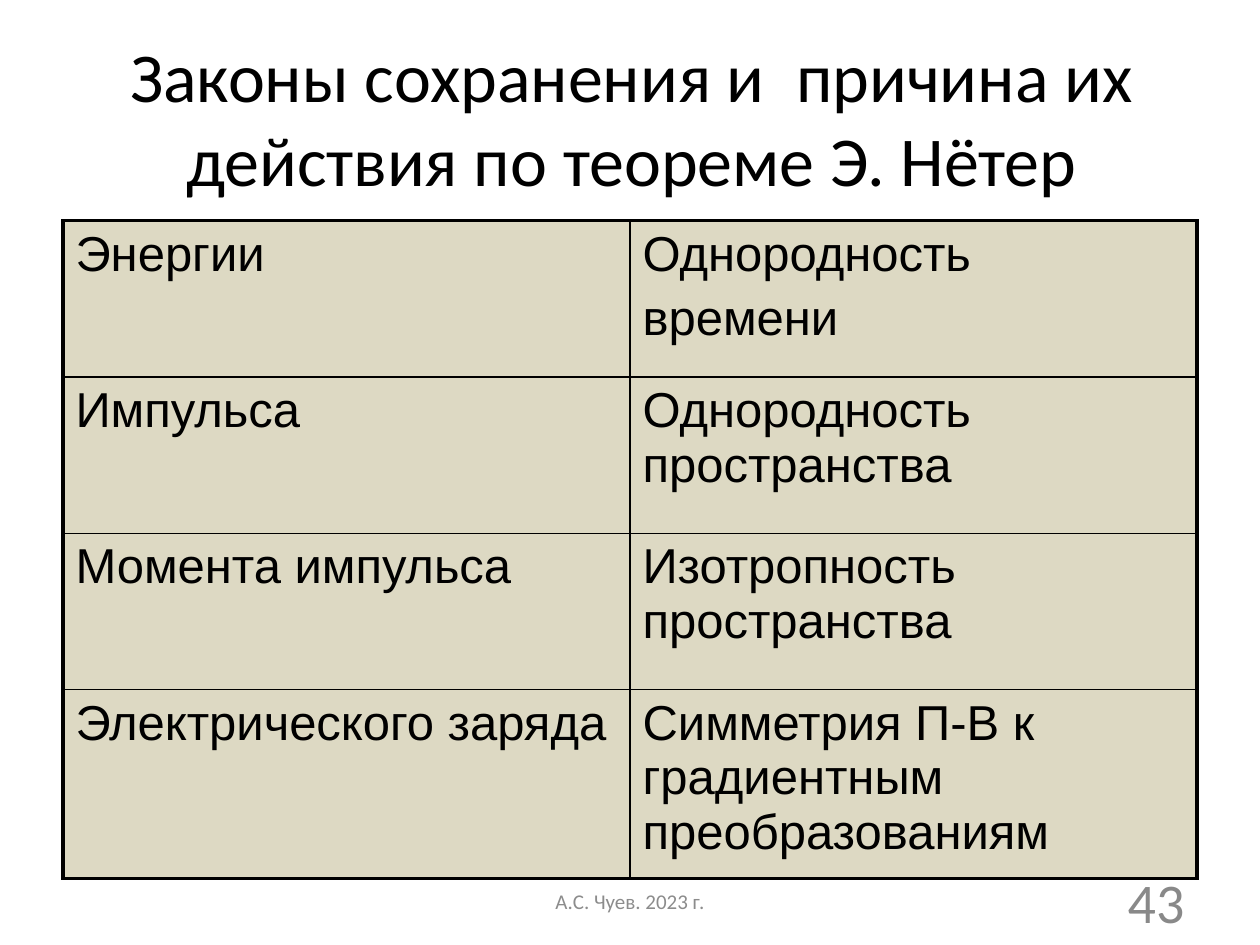
from lxml.etree import SubElement
from pptx import Presentation
from pptx.dml.color import RGBColor
from pptx.enum.text import MSO_ANCHOR as Anchor, PP_ALIGN as Align
from pptx.oxml.ns import qn
from pptx.util import Cm, Pt

COLORS = {"ink": "000000", "cell": "DDD9C3", "number": "898989", "footer": "8C8C8C"}
LAWS = [
    ("Энергии", "Однородность\nвремени"),
    ("Импульса", "Однородность пространства"),
    ("Момента импульса", "Изотропность пространства"),
    ("Электрического заряда", "Симметрия П-В к градиентным преобразованиям"),
]
ROW_HEIGHTS = [3.15, 3.15, 3.15, 3.8]
COLUMN_WIDTH = 11.43


def write_text(frame, text, size, font="Calibri", color="ink", align=Align.LEFT, before=0):
    frame.word_wrap = True
    for index, line in enumerate(text.split("\n")):
        paragraph = frame.add_paragraph() if index else frame.paragraphs[0]
        paragraph.alignment = align
        paragraph.space_before = Pt(before)
        run = paragraph.add_run()
        run.text = line
        run.font.size = Pt(size)
        run.font.name = font
        run.font.color.rgb = RGBColor.from_string(COLORS[color])


class SlideBuilder:
    inner_line = 1
    outer_line = 2.25

    def __init__(self, slide):
        self.slide = slide

    def text(self, text, left, top, width, height, anchor=Anchor.MIDDLE, **style):
        shape = self.slide.shapes.add_textbox(Cm(left), Cm(top), Cm(width), Cm(height))
        shape.text_frame.vertical_anchor = anchor
        write_text(shape.text_frame, text, **style)

    def borders(self, cell, outer_sides):
        properties = cell._tc.get_or_add_tcPr()
        for index, side in enumerate("LRTB"):
            width = self.outer_line if side in outer_sides else self.inner_line
            line = SubElement(properties, qn(f"a:ln{side}"), w=str(Pt(width)))
            fill = SubElement(line, qn("a:solidFill"))
            SubElement(fill, qn("a:srgbClr"), val=COLORS["ink"])
            properties.insert(index, line)

    def table(self, rows, left, top, column_width, row_heights, **style):
        columns = len(rows[0])
        table = self.slide.shapes.add_table(
            len(rows), columns, Cm(left), Cm(top),
            Cm(column_width * columns), Cm(sum(row_heights))).table
        table.first_row = table.horz_banding = False
        for column in table.columns:
            column.width = Cm(column_width)
        for row_index, texts in enumerate(rows):
            table.rows[row_index].height = Cm(row_heights[row_index])
            for column_index, text in enumerate(texts):
                cell = table.cell(row_index, column_index)
                cell.fill.solid()
                cell.fill.fore_color.rgb = RGBColor.from_string(COLORS["cell"])
                write_text(cell.text_frame, text, **style)
                edges = {"L": column_index == 0, "R": column_index == columns - 1,
                         "T": row_index == 0, "B": row_index == len(rows) - 1}
                self.borders(cell, [side for side, outer in edges.items() if outer])


def main():
    presentation = Presentation()
    presentation.slide_width, presentation.slide_height = Cm(25.4), Cm(19.05)
    builder = SlideBuilder(presentation.slides.add_slide(presentation.slide_layouts[6]))
    builder.text("43", 18.2, 17.66, 5.93, 1.01, size=32, color="number", align=Align.RIGHT)
    builder.table(LAWS, 1.27, 4.45, COLUMN_WIDTH, ROW_HEIGHTS,
                  size=28, font="Arial", before=5.6)
    builder.text("Законы сохранения и  причина их действия по теореме Э. Нётер",
                 1.3, 0.53, 22.86, 3.35, anchor=Anchor.TOP, size=40, align=Align.CENTER)
    builder.text("А.С. Чуев. 2023 г.", 8.68, 17.66, 8.04, 1.01,
                 size=12, color="footer", align=Align.CENTER)
    presentation.save("out.pptx")


if __name__ == "__main__":
    main()
